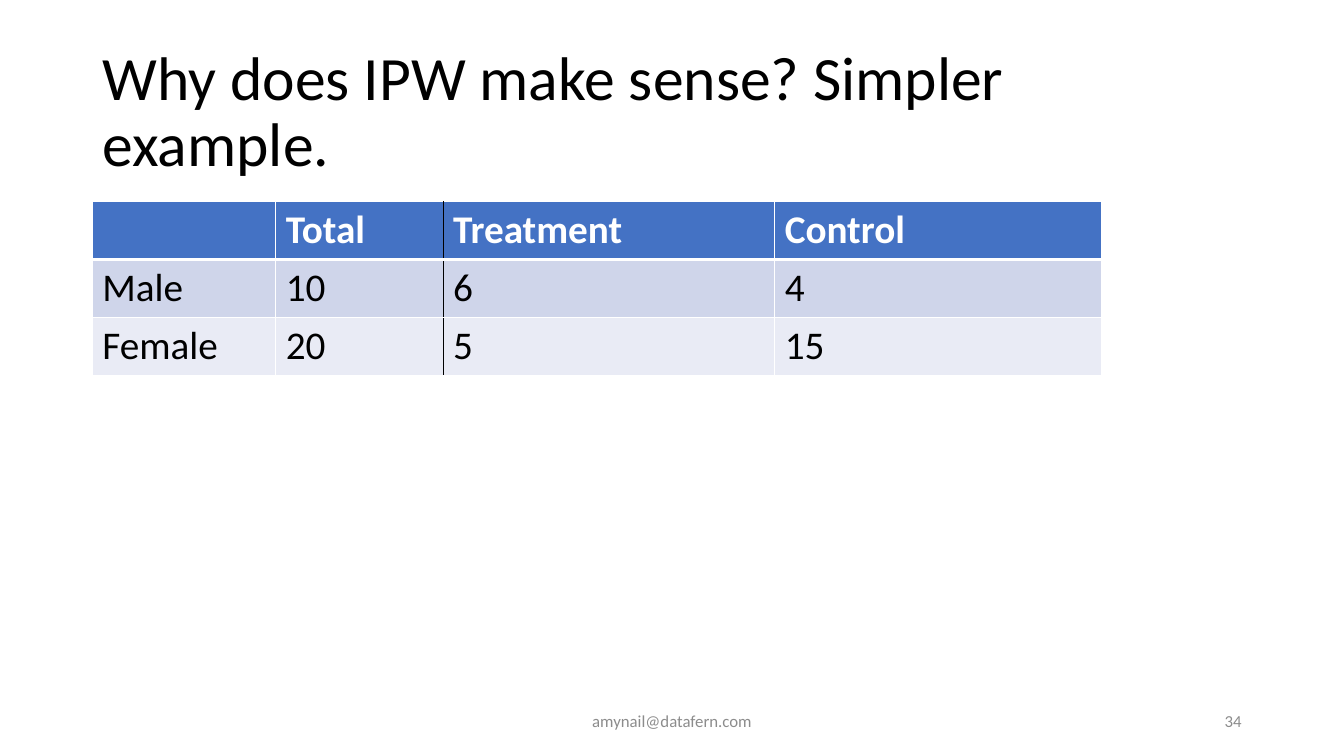
from lxml import etree
from pptx import Presentation
from pptx.dml.color import RGBColor
from pptx.enum.text import MSO_ANCHOR, MSO_AUTO_SIZE, PP_ALIGN
from pptx.oxml.ns import qn
from pptx.util import Inches, Pt

MIDDLE = MSO_ANCHOR.MIDDLE
NO_FIT = MSO_AUTO_SIZE.NONE
LEFT, CENTER, RIGHT = PP_ALIGN.LEFT, PP_ALIGN.CENTER, PP_ALIGN.RIGHT
BLACK = RGBColor(0x00, 0x00, 0x00)
WHITE = RGBColor(0xFF, 0xFF, 0xFF)
GRAY = RGBColor(0x8C, 0x8C, 0x8C)
BLUE = RGBColor(0x44, 0x72, 0xC4)
BANDS = [RGBColor(0xCF, 0xD5, 0xEA), RGBColor(0xE9, 0xEB, 0xF5)]
GRID_COLUMNS, GRID_ROWS = 160, 90
TITLE_ONLY = 5

COUNTS = [
    ["", "Total", "Treatment", "Control"],
    ["Male", "10", "6", "4"],
    ["Female", "20", "5", "15"],
]


class SlideBuilder:
    """Places styled elements on one slide, measured in grid columns and rows."""

    formats = {
        "title": {"size": Pt(44), "color": BLACK, "bold": False},
        "header": {"size": Pt(28), "color": WHITE, "bold": True},
        "cell": {"size": Pt(28), "color": BLACK, "bold": False},
        "footer": {"size": Pt(12), "color": GRAY, "bold": False},
    }

    def __init__(self, deck):
        self.slide = deck.slides.add_slide(deck.slide_layouts[TITLE_ONLY])
        self.column = deck.slide_width / GRID_COLUMNS
        self.row = deck.slide_height / GRID_ROWS

    def area(self, left, top, width, height):
        return (round(left * self.column), round(top * self.row),
                round(width * self.column), round(height * self.row))

    def add_text(self, frame, text, style, alignment=LEFT):
        para = frame.paragraphs[0]
        para.alignment = alignment
        span = para.add_run()
        span.text = text
        span.font.name = "Calibri"
        for name, value in self.formats[style].items():
            if name == "color":
                span.font.color.rgb = value
            else:
                setattr(span.font, name, value)
        return para

    def title(self, text, *area):
        box = self.slide.shapes.title
        box.left, box.top, box.width, box.height = self.area(*area)
        frame = box.text_frame
        for name, value in {"word_wrap": True, "auto_size": NO_FIT,
                            "vertical_anchor": MIDDLE}.items():
            setattr(frame, name, value)
        self.add_text(frame, text, "title").line_spacing = 0.9

    def footer(self, text, alignment, *area):
        frame = self.slide.shapes.add_textbox(*self.area(*area)).text_frame
        frame.word_wrap = True
        frame.vertical_anchor = MIDDLE
        self.add_text(frame, text, "footer", alignment)

    def border(self, cell, edge, color, points):
        line = etree.SubElement(cell._tc.get_or_add_tcPr(), qn(f"a:ln{edge}"),
                                w=str(Pt(points)))
        fill = etree.SubElement(line, qn("a:solidFill"))
        etree.SubElement(fill, qn("a:srgbClr"), val=str(color))

    def table(self, values, left, top, widths, row_height, divider):
        area = self.area(left, top, sum(widths), row_height * len(values))
        table = self.slide.shapes.add_table(len(values), len(widths), *area).table
        for column, width in zip(table.columns, widths):
            column.width = round(width * self.column)
        for r, texts in enumerate(values):
            for c, text in enumerate(texts):
                cell = table.cell(r, c)
                edges = {
                    "L": (BLACK if c == divider else WHITE, 1),
                    "R": (BLACK if c + 1 == divider else WHITE, 1),
                    "T": (WHITE, 3 if r == 1 else 1),
                    "B": (WHITE, 3 if r == 0 else 1),
                }
                for edge, (color, points) in edges.items():
                    self.border(cell, edge, color, points)
                cell.fill.solid()
                cell.fill.fore_color.rgb = BANDS[(r - 1) % 2] if r else BLUE
                if text:
                    self.add_text(cell.text_frame, text, "cell" if r else "header")


def main():
    deck = Presentation()
    deck.slide_width, deck.slide_height = Inches(13.33), Inches(7.5)
    page = SlideBuilder(deck)
    page.title("Why does IPW make sense? Simpler example.", 11, 4.8, 138, 17.4)
    page.table(COUNTS, 11, 24, [21.84, 19.92, 39.48, 38.88], 6.84, divider=2)
    page.footer("amynail@datafern.com", CENTER, 53, 83.4, 54, 4.8)
    page.footer("34", RIGHT, 113, 83.4, 36, 4.8)
    deck.save("out.pptx")


if __name__ == "__main__":
    main()
